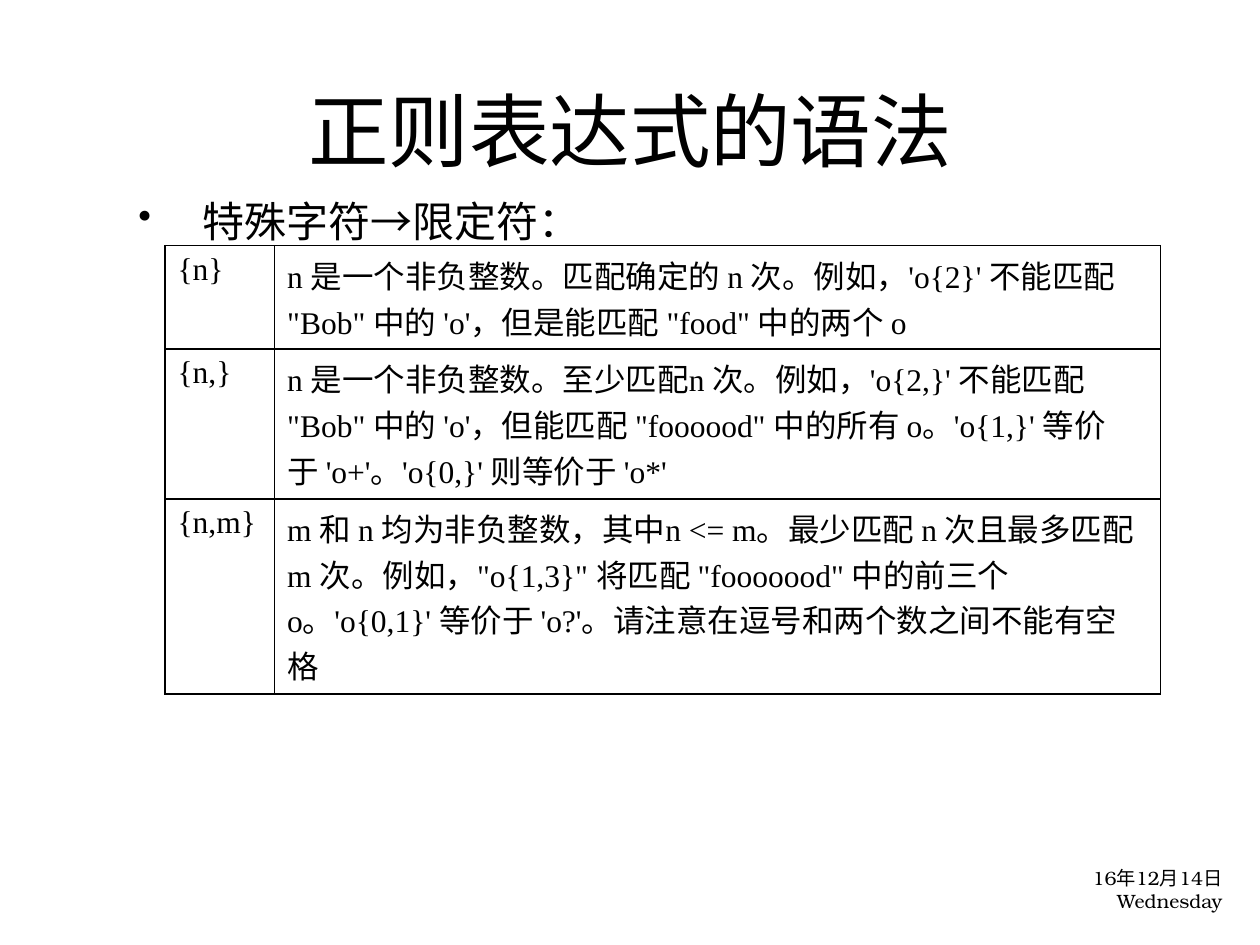
from pptx import Presentation
from pptx.dml.color import RGBColor
from pptx.enum.text import MSO_ANCHOR, PP_ALIGN
from pptx.oxml import parse_xml
from pptx.oxml.ns import nsdecls
from pptx.util import Inches, Pt

LEFT, CENTER, RIGHT = PP_ALIGN.LEFT, PP_ALIGN.CENTER, PP_ALIGN.RIGHT
TOP, MIDDLE = MSO_ANCHOR.TOP, MSO_ANCHOR.MIDDLE

COLORS = {"text": "000000", "border": "000000", "back": "FFFFFF"}
SERIF, DATE_FONT = "Times New Roman", "TeX Gyre Bonum"

QUANTIFIERS = [
    ("{n}", "n 是一个非负整数。匹配确定的 n 次。例如，'o{2}' 不能匹配 \"Bob\" 中的 'o'，"
            "但是能匹配 \"food\" 中的两个 o"),
    ("{n,}", "n 是一个非负整数。至少匹配n 次。例如，'o{2,}' 不能匹配 \"Bob\" 中的 'o'，"
             "但能匹配 \"foooood\" 中的所有 o。'o{1,}' 等价于 'o+'。'o{0,}' 则等价于 'o*'"),
    ("{n,m}", "m 和 n 均为非负整数，其中n <= m。最少匹配 n 次且最多匹配 m 次。例如，"
              "\"o{1,3}\" 将匹配 \"fooooood\" 中的前三个 o。'o{0,1}' 等价于 'o?'。"
              "请注意在逗号和两个数之间不能有空格"),
]


class Deck:
    """Style and current slide; lengths are cells of a 100 by 75 grid."""

    CELL = Inches(0.1)

    def __init__(self):
        self.prs = Presentation()
        self.prs.slide_width = self.size(100)
        self.prs.slide_height = self.size(75)

    def size(self, cells):
        return round(cells * self.CELL)

    def slide(self):
        self.s = self.prs.slides.add_slide(self.prs.slide_layouts[6])
        fill = self.s.background.fill
        fill.solid()
        fill.fore_color.rgb = RGBColor.from_string(COLORS["back"])

    def add_run(self, tf, text, size, font=SERIF, align=LEFT):
        p = tf.paragraphs[0]
        p.alignment = align
        r = p.add_run()
        r.text = text
        r.font.size, r.font.name = Pt(size), font
        r.font.color.rgb = RGBColor.from_string(COLORS["text"])
        return p

    def text(self, box, text, size, font=SERIF, align=LEFT, anchor=TOP):
        sp = self.s.shapes.add_textbox(*map(self.size, box))
        tf = sp.text_frame
        tf.word_wrap, tf.vertical_anchor = True, anchor
        return self.add_run(tf, text, size, font, align)

    def bullet(self, box, text, size, indent):
        p = self.text(box, text, size)
        p.space_before = Pt(20)
        pPr = p._p.get_or_add_pPr()
        pPr.set("marL", str(self.size(indent)))
        pPr.set("indent", str(-self.size(indent)))
        for tag in ('buSzPct {} val="90000"', 'buChar {} char="•"'):
            pPr.append(parse_xml(f"<a:{tag.format(nsdecls('a'))}/>"))

    def border(self, cell):
        tcPr = cell._tc.get_or_add_tcPr()
        for i, side in enumerate(("lnL", "lnR", "lnT", "lnB")):
            tcPr.insert(i, parse_xml(
                f'<a:{side} {nsdecls("a")} w="{Pt(1)}"><a:solidFill>'
                f'<a:srgbClr val="{COLORS["border"]}"/></a:solidFill></a:{side}>'))

    def table(self, left, top, widths, heights, rows, size):
        box = map(self.size, (left, top, sum(widths), sum(heights)))
        tbl = self.s.shapes.add_table(len(rows), len(widths), *box).table
        tbl.first_row = tbl.horz_banding = False
        for column, width in zip(tbl.columns, widths):
            column.width = self.size(width)
        for row, height, texts in zip(tbl.rows, heights, rows):
            row.height = self.size(height)
            for cell, text in zip(row.cells, texts):
                cell.fill.background()
                self.border(cell)
                self.add_run(cell.text_frame, text, size)


def main():
    deck = Deck()
    deck.slide()
    deck.text((10, 5.5, 80, 9.5), "正则表达式的语法", 46, align=CENTER, anchor=MIDDLE)
    deck.bullet((10, 15, 85.1, 48.3), "特殊字符→限定符：", 24, indent=5.1)
    deck.text((83.8, 69.1, 14.2, 2.9), "16年12月14日 Wednesday", 11,
              DATE_FONT, RIGHT, MIDDLE)
    deck.table(13.1, 19.5, (8.7, 70.3), (8.2, 11.9, 15.5), QUANTIFIERS, 18)
    deck.prs.save("out.pptx")


if __name__ == "__main__":
    main()
